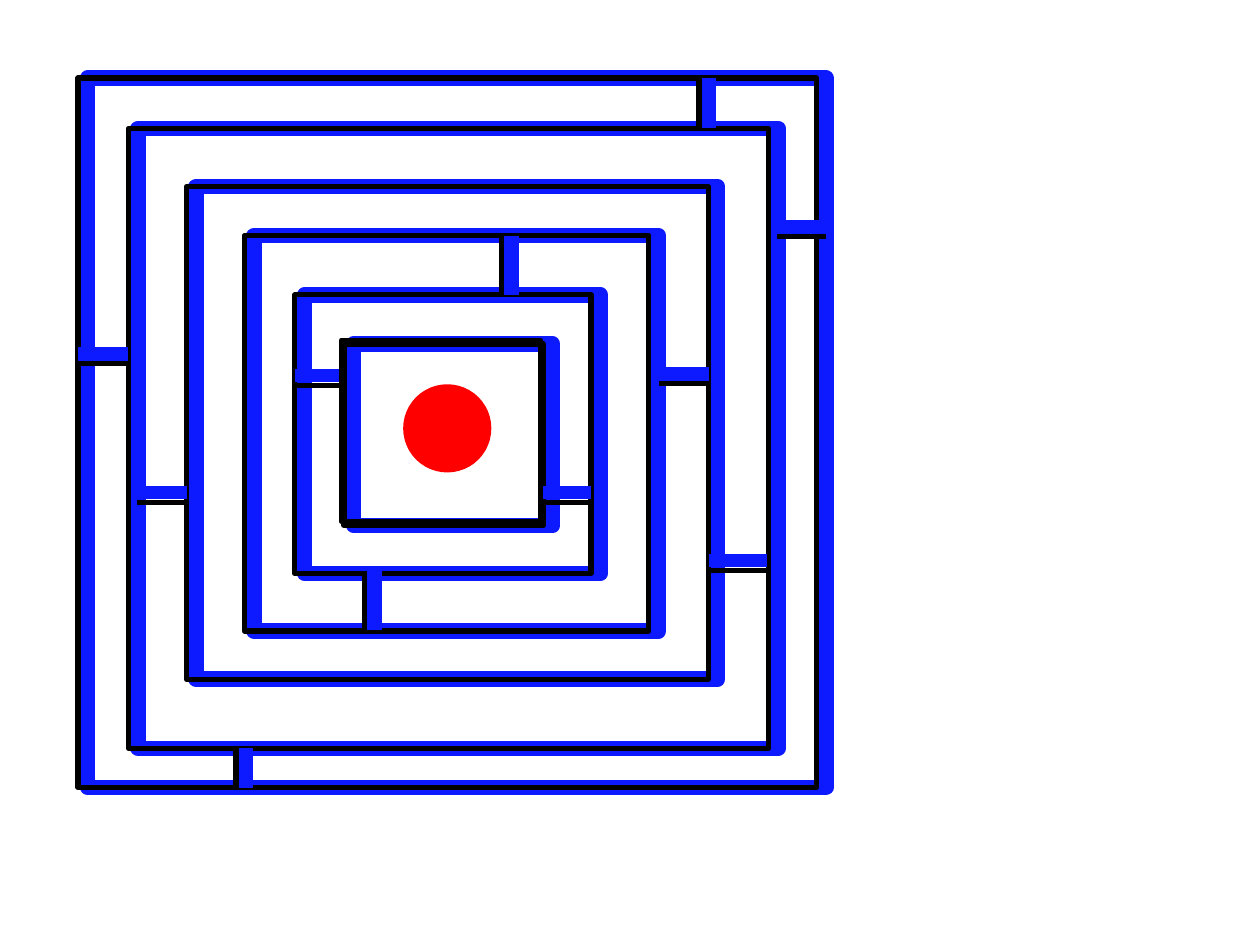
from dataclasses import dataclass

from lxml.etree import SubElement
from pptx import Presentation
from pptx.dml.color import RGBColor
from pptx.enum.shapes import MSO_CONNECTOR, MSO_SHAPE
from pptx.oxml.ns import qn
from pptx.util import Pt


@dataclass(frozen=True)
class Theme:
    blue: RGBColor = RGBColor(0x0D, 0x19, 0xFF)
    black: RGBColor = RGBColor(0, 0, 0)
    red: RGBColor = RGBColor(0xFF, 0, 0)
    thin: float = 3
    wall: float = 8.75
    side: float = 7.75
    post: float = 8.5
    shift: float = 5.5


THEME = Theme()
MAZE = (44.6, 44.6)
RINGS = [
    (0, 0, 421.9, 405.4),
    (28.8, 28.8, 365.8, 354.2),
    (62, 62, 298.1, 281.5),
    (95.1, 90, 231.1, 226.1),
    (123.9, 123.9, 169.2, 159.1),
    (152, 152, 113.8, 103.7),
]
CORE = (150.5, 149.8, 113.8, 103.7)
GOAL = (185.8, 175, 50.4, 50.4)
SIDES = [
    (0, 157.7, 28.8),
    (33.9, 236.9, 28.1),
    (123.9, 170, 28.1),
    (332, 169.2, 28.8),
    (360.8, 275.8, 33.1),
    (399.6, 85, 28.1),
    (265, 236.9, 28.1),
]
POSTS = [
    (95.8, 383.1, 22.3),
    (360.4, 0, 28.8),
    (169.2, 281.6, 33.8),
    (247.7, 90, 33.8),
]


def add_rect(slide, box, color, width):
    shape = slide.shapes.add_shape(MSO_SHAPE.RECTANGLE, *map(Pt, box))
    shape.shadow.inherit = False
    shape.fill.background()
    shape.line.color.rgb = color
    shape.line.width = Pt(width)
    SubElement(shape.line._get_or_add_ln(), qn("a:round"))


def add_line(slide, x, y, dx, dy, color, width):
    line = slide.shapes.add_connector(
        MSO_CONNECTOR.STRAIGHT, Pt(x), Pt(y), Pt(x + dx), Pt(y + dy)
    )
    line.line.color.rgb = color
    line.line.width = Pt(width)
    SubElement(line._element.spPr, qn("a:effectLst"))


def add_ring(slide, box):
    x, y, w, h = box
    add_rect(slide, (x + THEME.shift, y, w, h), THEME.blue, THEME.wall)
    add_rect(slide, box, THEME.black, THEME.thin)


def add_side(slide, x, y, size):
    add_line(slide, x, y, size, 0, THEME.blue, THEME.side)
    add_line(slide, x, y + THEME.shift, size, 0, THEME.black, THEME.thin)


def add_post(slide, x, y, size):
    add_line(slide, x, y, 0, size, THEME.blue, THEME.post)
    add_line(slide, x - THEME.shift, y, 0, size, THEME.black, THEME.thin)


def add_goal(slide, box):
    dot = slide.shapes.add_shape(MSO_SHAPE.OVAL, *map(Pt, box))
    dot.shadow.inherit = False
    dot.fill.solid()
    dot.fill.fore_color.rgb = THEME.red
    dot.line.fill.background()


def add_maze(slide, left, top):
    def place(box):
        x, y, *size = box
        return (left + x, top + y, *size)

    for ring in RINGS:
        add_ring(slide, place(ring))
    for side in SIDES:
        add_side(slide, *place(side))
    add_goal(slide, place(GOAL))
    add_rect(slide, place(CORE), THEME.black, THEME.thin)
    for post in POSTS:
        add_post(slide, *place(post))


def main():
    deck = Presentation()
    deck.slide_width, deck.slide_height = Pt(720), Pt(540)
    slide = deck.slides.add_slide(deck.slide_layouts[6])
    add_maze(slide, *MAZE)
    deck.save("out.pptx")


if __name__ == "__main__":
    main()
